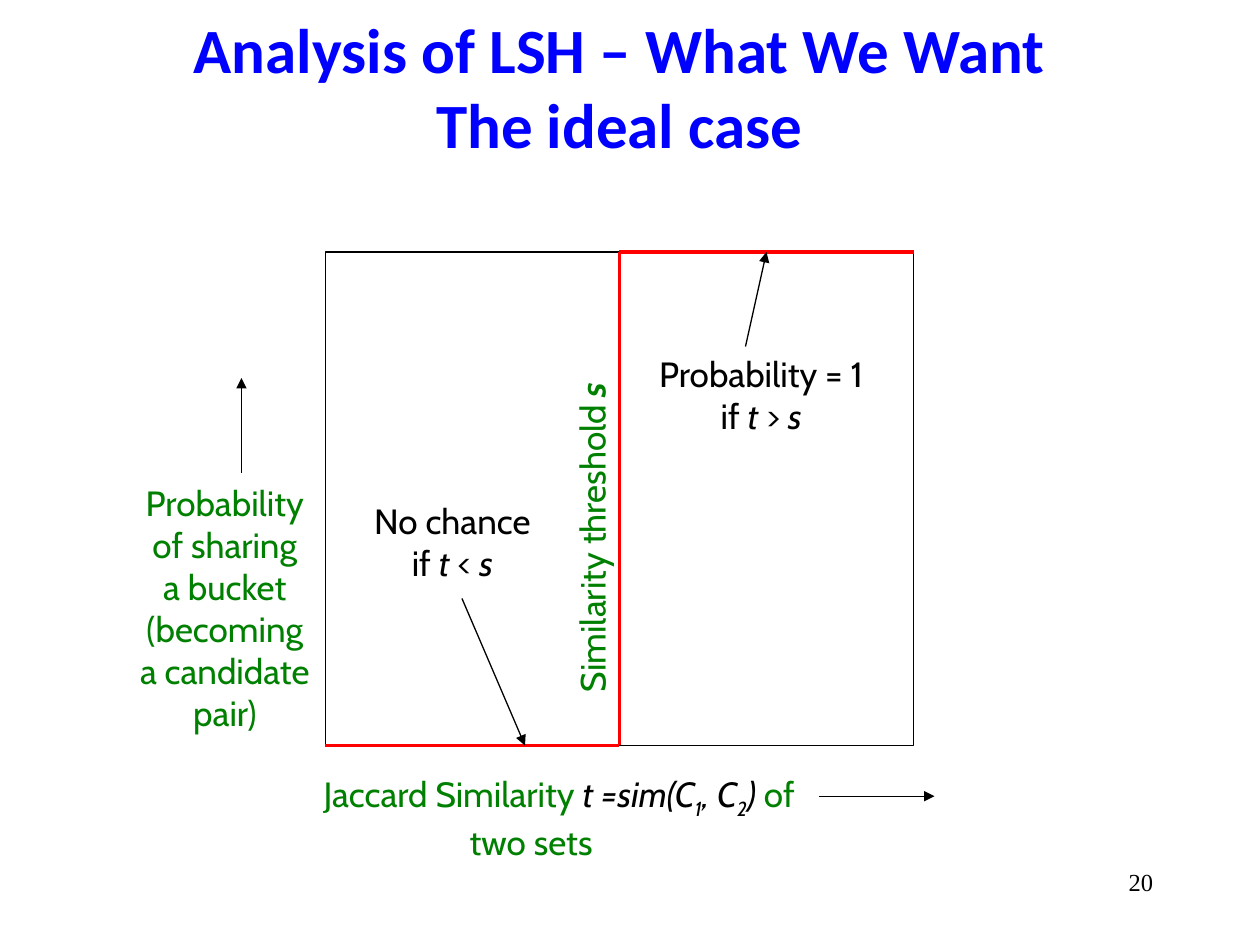
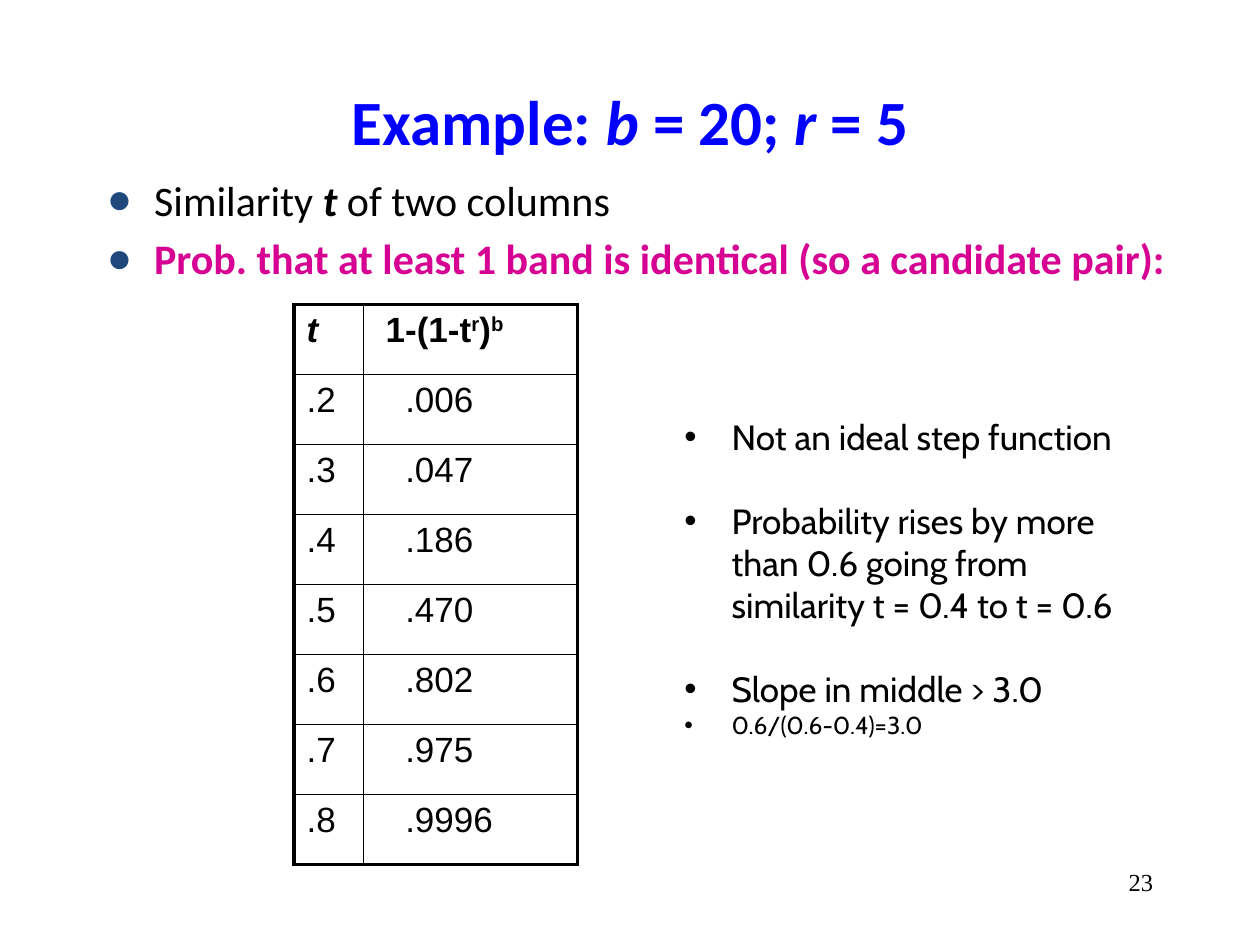
from typing import NamedTuple, Optional

from lxml import etree
from pptx import Presentation
from pptx.dml.color import RGBColor
from pptx.enum.shapes import MSO_CONNECTOR, MSO_SHAPE
from pptx.enum.text import MSO_ANCHOR, MSO_AUTO_SIZE, PP_ALIGN
from pptx.oxml.ns import qn
from pptx.util import Pt

BLACK = RGBColor(0, 0, 0)
BLUE = RGBColor(0, 0, 255)
GREEN = RGBColor(0, 128, 0)
RED = RGBColor(255, 0, 0)
MAGENTA = RGBColor(0xD6, 0, 0x93)
NAVY = RGBColor(0x1F, 0x49, 0x7D)

CENTER, LEFT, RIGHT = PP_ALIGN.CENTER, PP_ALIGN.LEFT, PP_ALIGN.RIGHT
MIDDLE = MSO_ANCHOR.MIDDLE
NO_AUTOFIT = MSO_AUTO_SIZE.NONE
STRAIGHT = MSO_CONNECTOR.STRAIGHT
RECTANGLE = MSO_SHAPE.RECTANGLE

TITLE_ONLY = 5
TOP_SIDE, BOTTOM_SIDE = 0, 2
THIN, STEP_WIDTH = 0.75, 2
OUTER_BORDER, INNER_BORDER = 2.25, 1
HANG = 27
PROBABILITIES = [(".2", ".006"), (".3", ".047"), (".4", ".186"), (".5", ".470"),
                 (".6", ".802"), (".7", ".975"), (".8", ".9996")]


class Span(NamedTuple):
    """A piece of text that differs from the style of its box."""
    text: str
    bold: Optional[bool] = None
    italic: Optional[bool] = None
    color: Optional[RGBColor] = None
    baseline: int = 0


class Style(NamedTuple):
    """The font and alignment shared by the text of a box."""
    font: str
    size: float
    color: RGBColor = BLACK
    align: PP_ALIGN = LEFT
    bold: bool = False


TITLE = Style("Calibri", 36, BLUE, CENTER, True)
BODY = Style("Calibri", 24)
LABEL = Style("Cabin", 20, BLACK, CENTER)
AXIS = LABEL._replace(color=GREEN)
NOTE = Style("Cabin", 20)
CELL = Style("Arial", 20)
PAGE_NUMBER = Style("Times New Roman", 14, BLACK, RIGHT)


def write_paragraph(para, spans, style):
    """Fill one paragraph with plain strings and spans."""
    para.alignment = style.align
    for item in spans:
        span = Span(item) if isinstance(item, str) else item
        run = para.add_run()
        run.text = span.text
        font = run.font
        font.name, font.size = style.font, Pt(style.size)
        font.bold = style.bold if span.bold is None else span.bold
        font.italic = span.italic
        font.color.rgb = span.color or style.color
        if span.baseline:
            run._r.get_or_add_rPr().set("baseline", str(span.baseline * 1000))


def write_paragraphs(frame, paragraphs, style):
    """Fill a text frame with one paragraph per list of spans."""
    for index, spans in enumerate(paragraphs):
        para = frame.add_paragraph() if index else frame.paragraphs[0]
        write_paragraph(para, spans, style)


def add_text(page, box, paragraphs, style):
    """Add a wrapping text box at (left, top, width, height)."""
    shape = page.shapes.add_textbox(*map(Pt, box))
    shape.text_frame.word_wrap = True
    write_paragraphs(shape.text_frame, paragraphs, style)
    return shape


def set_indent(para, margin, indent):
    """Set the left margin and first-line indent of a paragraph."""
    properties = para._p.get_or_add_pPr()
    properties.set("marL", str(Pt(margin)))
    properties.set("indent", str(Pt(indent)))
    return properties


def add_bullet(para, symbol, color):
    """Give a paragraph a hanging bullet."""
    properties = set_indent(para, HANG, -HANG)
    bullet_color = etree.SubElement(properties, qn("a:buClr"))
    etree.SubElement(bullet_color, qn("a:srgbClr"), val=str(color))
    etree.SubElement(properties, qn("a:buFont"), typeface="Arial")
    etree.SubElement(properties, qn("a:buChar"), char=symbol)


def add_line(page, start, end, color=BLACK, width=THIN, arrow=False):
    """Add a straight line, with an arrowhead at its end if asked."""
    line = page.shapes.add_connector(STRAIGHT, *map(Pt, (*start, *end)))
    line.line.color.rgb = color
    line.line.width = Pt(width)
    properties = line._element.spPr
    if arrow:
        etree.SubElement(properties.find(qn("a:ln")), qn("a:tailEnd"), type="triangle")
    etree.SubElement(properties, qn("a:effectLst"))
    return line


def add_page(deck, title_box, title, number):
    """Add a slide with its title and page number."""
    page = deck.slides.add_slide(deck.slide_layouts[TITLE_ONLY])
    shape = page.shapes.title
    shape.left, shape.top, shape.width, shape.height = map(Pt, title_box)
    frame = shape.text_frame
    frame.auto_size = NO_AUTOFIT
    frame.vertical_anchor = MIDDLE
    write_paragraphs(frame, title, TITLE)
    add_text(page, (516, 492, 150, 36), [[str(number)]], PAGE_NUMBER)
    return page


def add_step_plot(page, box):
    """Draw the ideal step function with its annotations."""
    left, top, width, height = box
    right, bottom, threshold = left + width, top + height, left + width / 2
    frame = page.shapes.add_shape(RECTANGLE, *map(Pt, box))
    frame.shadow.inherit = False
    frame.fill.background()
    frame.line.color.rgb = BLACK
    frame.line.width = Pt(THIN)

    low = add_line(page, (left, bottom), (threshold, bottom), RED, STEP_WIDTH)
    low.end_connect(frame, BOTTOM_SIDE)
    rise = add_line(page, (threshold, bottom), (threshold, top), RED, STEP_WIDTH)
    rise.begin_connect(frame, BOTTOM_SIDE)
    rise.end_connect(frame, TOP_SIDE)
    high = add_line(page, (threshold, top), (right, top), RED, STEP_WIDTH)
    high.begin_connect(frame, TOP_SIDE)

    s, t = Span("s", italic=True), Span("t", italic=True)
    name = add_text(page, (left + 49, top + 147, 207, 32),
                    [["Similarity threshold ", Span("s", True, True)]], AXIS)
    name.rotation = 270
    add_text(page, (left + 19, top + 138, 107, 55),
             [["No chance"], ["if ", t, " < ", s]], LABEL)
    add_line(page, (left + 78, top + 198), (left + 114, bottom), arrow=True)
    add_text(page, (left + 180, top + 54, 138, 55),
             [["Probability = 1 if ", t, " > ", s]], LABEL)
    add_line(page, (left + 240, top + 54), (left + 252, top), arrow=True)


def add_axis_names(page, box):
    """Name the axes of the plot that fills the given box."""
    left, top, width, height = box
    bottom = top + height

    def formula(text, baseline=0):
        return Span(text, italic=True, color=BLACK, baseline=baseline)

    across = add_text(
        page, (left - 53.5, bottom + 12, 342, 55),
        [["Jaccard Similarity ", formula("t =sim(C"), formula("1", -25),
          formula(", C"), formula("2", -25), formula(")"), " of two sets"]], AXIS)
    set_indent(across.text_frame.paragraphs[0], 0, 32)
    add_line(page, (left + 282, bottom + 29), (left + 348, bottom + 29), arrow=True)

    lines = ["Probability", "of sharing", "a bucket", "(becoming", "a candidate", "pair)"]
    add_text(page, (left - 116, top + 127.5, 117, 153), [[line] for line in lines], AXIS)
    add_line(page, (left - 48, top + 126), (left - 48, top + 72), arrow=True)


def set_borders(cell, widths):
    """Draw the left, right, top and bottom borders of a cell."""
    properties = cell._tc.get_or_add_tcPr()
    for index, (side, width) in enumerate(zip("LRTB", widths)):
        border = etree.Element(qn(f"a:ln{side}"), w=str(Pt(width)))
        fill = etree.SubElement(border, qn("a:solidFill"))
        etree.SubElement(fill, qn("a:srgbClr"), val=str(BLACK))
        properties.insert(index, border)


def add_probability_table(page, left, top):
    """Tabulate the candidate probability for each similarity."""
    header = ([Span("t", True, True)],
              [Span("1-(1-t", True), Span("r", True, baseline=30),
               Span(")", True), Span("b", True, baseline=30)])
    rows = [header] + [([t], [value]) for t, value in PROBABILITIES]
    widths, row_height = (39.6, 122.4), 40
    last_row, last_column = len(rows) - 1, len(widths) - 1
    table = page.shapes.add_table(
        len(rows), len(widths),
        *map(Pt, (left, top, sum(widths), row_height * len(rows)))).table
    table.first_row = table.horz_banding = False
    for column, width in zip(table.columns, widths):
        column.width = Pt(width)
    for i, row in enumerate(rows):
        table.rows[i].height = Pt(row_height)
        for j, spans in enumerate(row):
            cell = table.cell(i, j)
            cell.fill.background()
            if j == last_column:
                cell.margin_left = Pt(24 if i else 12.8)
            write_paragraph(cell.text_frame.paragraphs[0], spans, CELL)
            outer = (j == 0, j == last_column, i == 0, i == last_row)
            set_borders(cell, [OUTER_BORDER if edge else INNER_BORDER for edge in outer])


def add_introduction(page, box):
    """List what the table shows."""
    body = add_text(page, box, [
        ["Similarity ", Span("t", True, True), " of two columns"],
        [Span("Prob. that at least 1 band is identical (so a candidate pair):",
              True, color=MAGENTA)]], BODY)
    for para in body.text_frame.paragraphs:
        add_bullet(para, "●", NAVY)
    body.text_frame.paragraphs[1].space_before = Pt(4.8)


def add_observations(page, box):
    """List the observations beside the table."""
    notes = add_text(page, box, [
        ["Not an ideal step function"],
        ["Probability rises by more than 0.6 going from similarity t = 0.4 to t = 0.6"],
        ["Slope in middle > 3.0"],
        ["0.6/(0.6-0.4)=3.0"]], NOTE)
    paragraphs = notes.text_frame.paragraphs
    for para in paragraphs:
        add_bullet(para, "•", BLACK)
    for para in paragraphs[1:3]:
        para.space_before = Pt(24)
    paragraphs[3].runs[0].font.size = Pt(14)


def build_ideal_case(deck):
    """Build the slide on the ideal step function."""
    page = add_page(deck, (18, 10, 672, 78),
                    [["Analysis of LSH – What We Want"], ["The ideal case"]], 20)
    plot_box = (186, 144, 336, 282)
    add_step_plot(page, plot_box)
    add_axis_names(page, plot_box)


def build_example(deck):
    """Build the slide with the worked example."""
    title = ["Example: ", Span("b", italic=True), " = 20; ", Span("r", italic=True), " = 5"]
    page = add_page(deck, (54, 24, 612, 90), [title], 23)
    add_introduction(page, (54, 96, 642, 366))
    add_probability_table(page, 168, 174)
    add_observations(page, (384, 234, 288, 201))


def main():
    """Build and save the deck."""
    deck = Presentation()
    deck.slide_width, deck.slide_height = Pt(720), Pt(540)
    build_ideal_case(deck)
    build_example(deck)
    deck.save("out.pptx")


if __name__ == "__main__":
    main()
